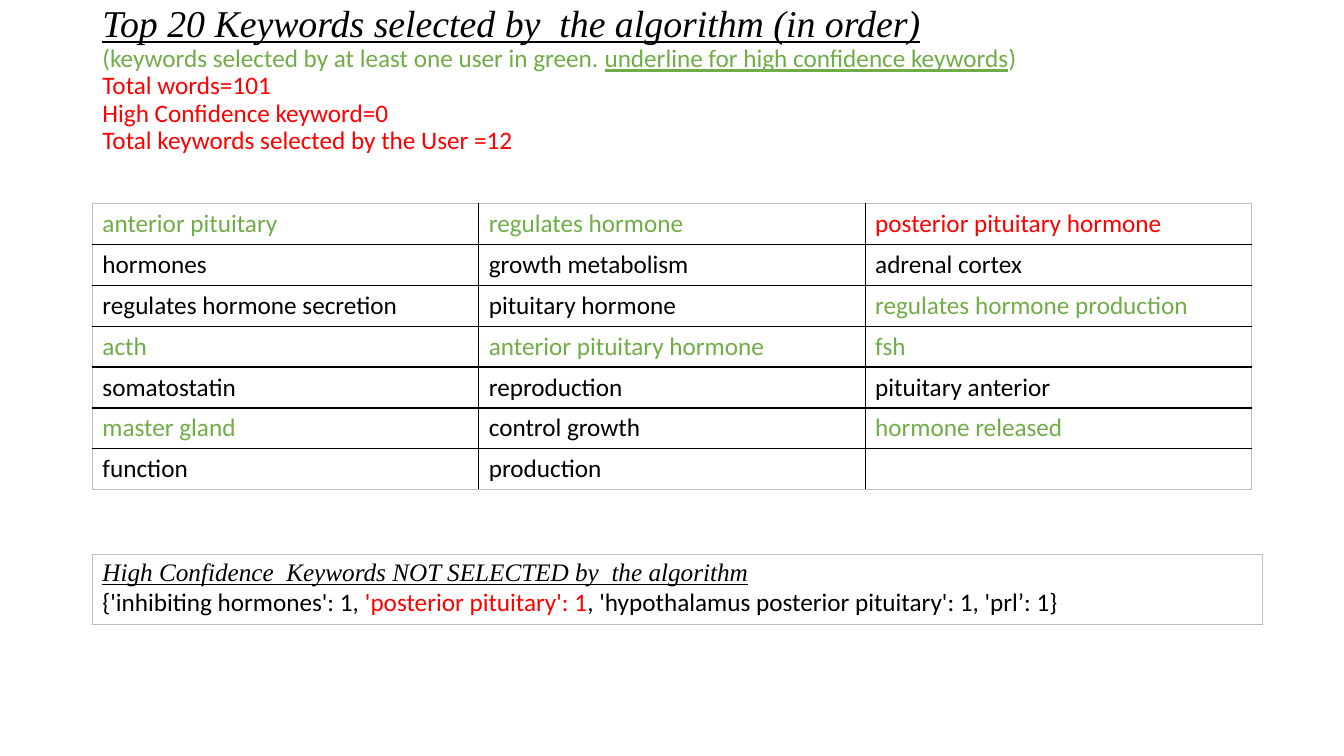
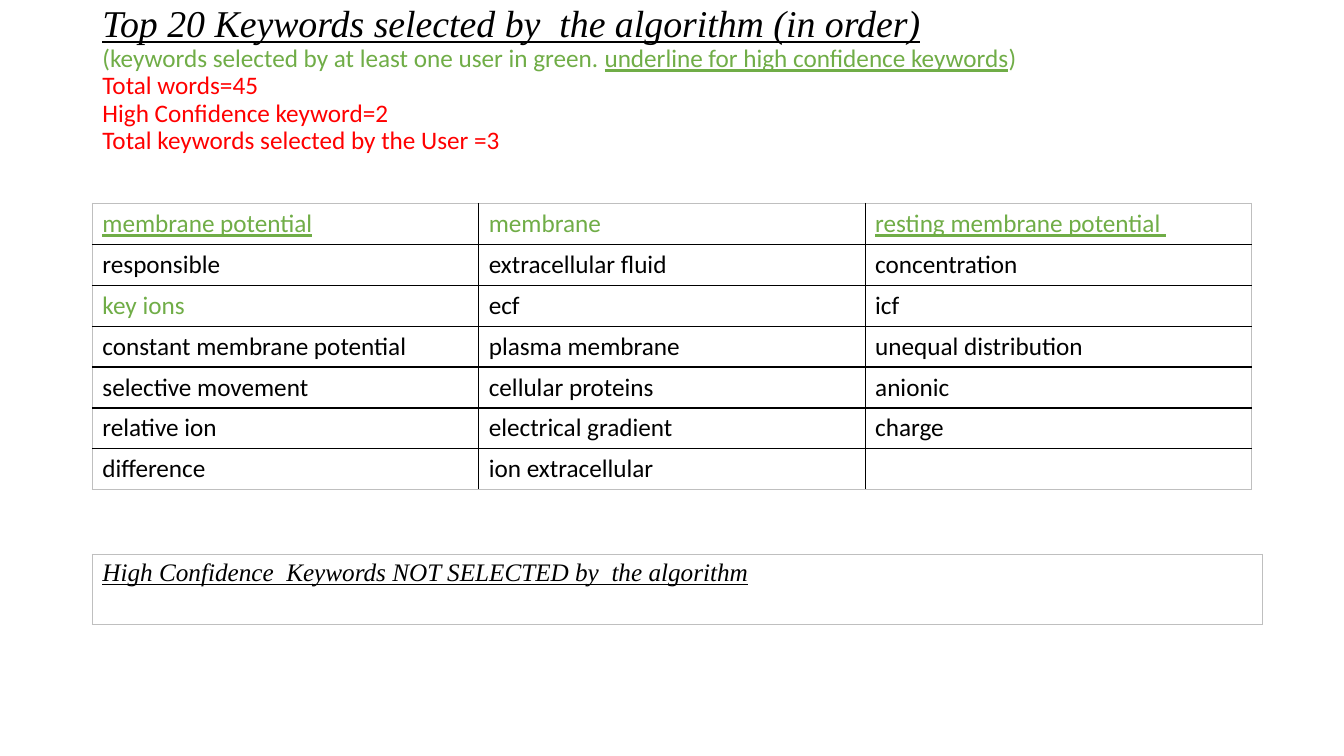
from dataclasses import dataclass, replace

import pptx
import pptx.dml.color
import pptx.enum.text
import pptx.oxml
import pptx.oxml.ns
import pptx.util

Pt = pptx.util.Pt


# Theme: colours, type sizes and shared geometry
@dataclass(frozen=True)
class Theme:
    black: str = "000000"
    white: str = "FFFFFF"
    green: str = "70AD47"
    red: str = "FF0000"
    frame: str = "BFBFBF"
    heading_font: str = "Times New Roman"
    body_font: str = "Calibri"
    title_size: float = 27
    body_size: float = 18
    border_width: float = 1
    left: float = 66
    content_width: float = 828


THEME = Theme()


@dataclass(frozen=True)
class TextStyle:
    color: str = THEME.black
    font: str = THEME.body_font
    size: float = THEME.body_size
    italic: bool = False
    underline: bool = False


BODY = TextStyle()
GREEN = TextStyle(color=THEME.green)
GREEN_UNDERLINED = replace(GREEN, underline=True)
RED = TextStyle(color=THEME.red)
HEADING = TextStyle(font=THEME.heading_font, italic=True, underline=True)
TITLE = replace(HEADING, size=THEME.title_size)


# Content: each keyword table is read row by row
@dataclass(frozen=True)
class KeywordReport:
    total_words: int
    high_confidence: int
    user_selected: int
    keywords: list
    styles: dict
    missed: list


REPORTS = [
    KeywordReport(
        total_words=101,
        high_confidence=0,
        user_selected=12,
        keywords=[
            "anterior pituitary", "regulates hormone", "posterior pituitary hormone",
            "hormones", "growth metabolism", "adrenal cortex",
            "regulates hormone secretion", "pituitary hormone", "regulates hormone production",
            "acth", "anterior pituitary hormone", "fsh",
            "somatostatin", "reproduction", "pituitary anterior",
            "master gland", "control growth", "hormone released",
            "function", "production",
        ],
        styles={
            "anterior pituitary": GREEN,
            "regulates hormone": GREEN,
            "posterior pituitary hormone": RED,
            "regulates hormone production": GREEN,
            "acth": GREEN,
            "anterior pituitary hormone": GREEN,
            "fsh": GREEN,
            "master gland": GREEN,
            "hormone released": GREEN,
        },
        missed=[
            ("{'inhibiting hormones': 1, ", BODY),
            ("'posterior pituitary': 1", RED),
            (", 'hypothalamus posterior pituitary': 1, 'prl’: 1}", BODY),
        ],
    ),
    KeywordReport(
        total_words=45,
        high_confidence=2,
        user_selected=3,
        keywords=[
            "membrane potential", "membrane", "resting membrane potential ",
            "responsible", "extracellular fluid", "concentration",
            "key ions", "ecf", "icf",
            "constant membrane potential", "plasma membrane", "unequal distribution",
            "selective movement", "cellular proteins", "anionic",
            "relative ion", "electrical gradient", "charge",
            "difference", "ion extracellular",
        ],
        styles={
            "membrane potential": GREEN_UNDERLINED,
            "membrane": GREEN,
            "resting membrane potential ": GREEN_UNDERLINED,
            "key ions": GREEN,
        },
        missed=[],
    ),
]


# Text
def format_run(run, style):
    font = run.font
    font.name = style.font
    font.size = Pt(style.size)
    font.bold = False
    font.italic = style.italic
    font.underline = style.underline
    font.color.rgb = pptx.dml.color.RGBColor.from_string(style.color)


def write_lines(text_frame, lines, line_spacing=1.0):
    """Write one paragraph per line; a line is a list of (text, style)."""
    for index, line in enumerate(lines):
        paragraph = text_frame.add_paragraph() if index else text_frame.paragraphs[0]
        paragraph.alignment = pptx.enum.text.PP_ALIGN.LEFT
        paragraph.line_spacing = line_spacing
        for text, style in line:
            run = paragraph.add_run()
            run.text = text
            format_run(run, style)


def add_title(slide, report):
    title = slide.shapes.title
    title.left, title.top = Pt(THEME.left), Pt(0)
    title.width, title.height = Pt(THEME.content_width), Pt(133)
    text_frame = title.text_frame
    text_frame.word_wrap = True
    text_frame.auto_size = pptx.enum.text.MSO_AUTO_SIZE.NONE
    text_frame.vertical_anchor = pptx.enum.text.MSO_ANCHOR.TOP
    write_lines(text_frame, [
        [("Top 20 Keywords selected by  the algorithm (in order)", TITLE)],
        [
            ("(keywords selected by at least one user in green. ", GREEN),
            ("underline for high confidence keywords", GREEN_UNDERLINED),
            (")", GREEN),
        ],
        [(f"Total words={report.total_words}", RED)],
        [(f"High Confidence keyword={report.high_confidence}", RED)],
        [(f"Total keywords selected by the User ={report.user_selected}", RED)],
    ], line_spacing=0.9)


# Tables
def set_borders(cell, edges):
    """Draw the four sides; edges tells which of them are on the outer frame."""
    properties = cell._tc.get_or_add_tcPr()
    for index, (side, is_outer) in enumerate(edges.items()):
        color = THEME.frame if is_outer else THEME.black
        border = pptx.oxml.parse_xml(
            f'<a:{side} {pptx.oxml.ns.nsdecls("a")} w="{Pt(THEME.border_width)}">'
            f'<a:solidFill><a:srgbClr val="{color}"/></a:solidFill></a:{side}>'
        )
        properties.insert(index, border)


def add_grid(slide, top, width, row_height, rows):
    """Add a bordered table; each cell is a list of lines."""
    row_count, column_count = len(rows), len(rows[0])
    table = slide.shapes.add_table(
        row_count, column_count, Pt(THEME.left), Pt(top),
        Pt(width), Pt(row_height * row_count),
    ).table
    table.first_row = False
    table.horz_banding = False
    for row_index, row in enumerate(rows):
        table.rows[row_index].height = Pt(row_height)
        for column_index, lines in enumerate(row):
            cell = table.cell(row_index, column_index)
            cell.fill.solid()
            cell.fill.fore_color.rgb = pptx.dml.color.RGBColor.from_string(THEME.white)
            set_borders(cell, {
                "lnL": column_index == 0,
                "lnR": column_index == column_count - 1,
                "lnT": row_index == 0,
                "lnB": row_index == row_count - 1,
            })
            write_lines(cell.text_frame, lines)


def add_keyword_table(slide, report, column_count=3):
    cells = [[[(word, report.styles.get(word, BODY))]] for word in report.keywords]
    cells += [[]] * (-len(cells) % column_count)
    rows = [cells[start:start + column_count] for start in range(0, len(cells), column_count)]
    add_grid(slide, 145.4, THEME.content_width, 29.2, rows)


def add_missed_table(slide, report):
    lines = [[("High Confidence  Keywords NOT SELECTED by  the algorithm", HEADING)]]
    if report.missed:
        lines.append(report.missed)
    add_grid(slide, 396, 836, 49.9, [[lines]])


def main():
    presentation = pptx.Presentation()
    presentation.slide_width, presentation.slide_height = Pt(960), Pt(540)
    title_only = presentation.slide_layouts[5]
    for report in REPORTS:
        slide = presentation.slides.add_slide(title_only)
        add_title(slide, report)
        add_keyword_table(slide, report)
        add_missed_table(slide, report)
    presentation.save("out.pptx")


if __name__ == "__main__":
    main()
